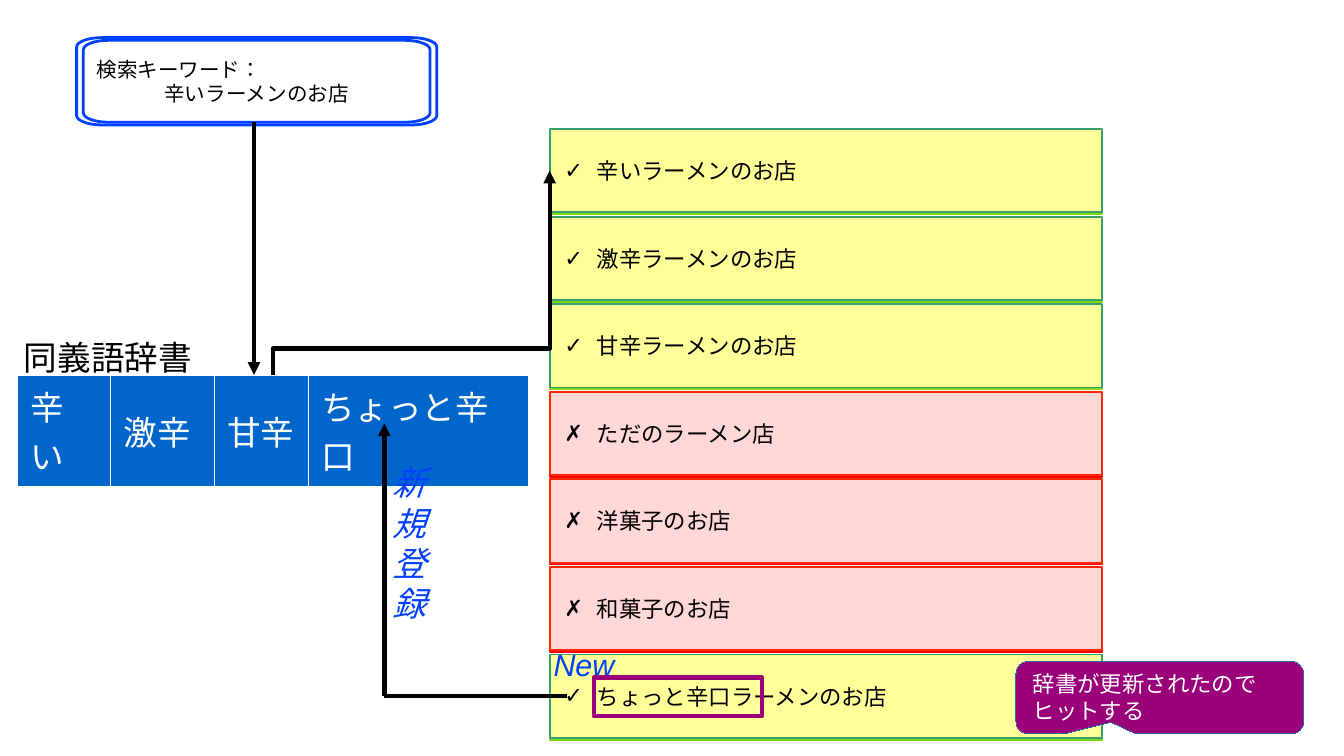
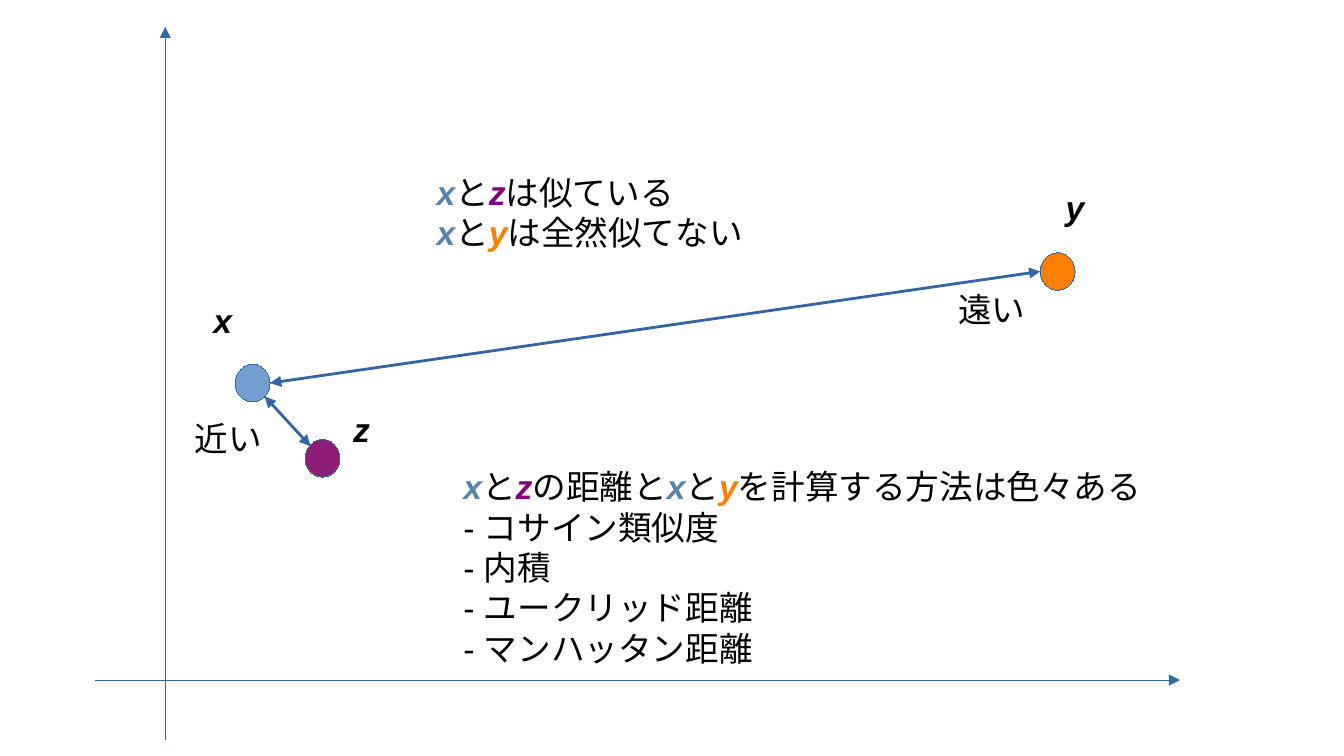
from dataclasses import dataclass
from math import cos, pi, sin

from lxml.etree import SubElement
from pptx import Presentation
from pptx.dml.color import RGBColor
from pptx.enum.lang import MSO_LANGUAGE_ID as Language
from pptx.enum.shapes import MSO_CONNECTOR as Link, MSO_SHAPE as Shape
from pptx.enum.text import MSO_ANCHOR as Anchor, MSO_AUTO_SIZE as AutoSize, PP_ALIGN as Align
from pptx.oxml.ns import qn
from pptx.util import Inches, Pt

# The slide is a grid of 100 columns by 56.25 rows of square cells
WIDTH, HEIGHT = Inches(10), Inches(5.625)
CELL = WIDTH / 100


@dataclass(frozen=True)
class Theme:
    font: str = "Arial"
    # Type sizes
    large: float = 18
    accent: float = 16.3
    small: float = 12
    keyword: float = 11
    # Line widths; a width of exactly 0 would fall back to the theme's line
    hair: float = 0.01
    thin: float = 1
    medium: float = 1.5
    thick: float = 2.3
    # Colours
    black: str = "000000"
    white: str = "FFFFFF"
    blue: str = "0041FF"
    header: str = "0066CC"
    purple: str = "9A0079"
    outline: str = "3465A4"


THEME = Theme()
HIT = {"mark": "✓", "fill": "FFFF99", "line": "35A16B", "shadow": "81D41A"}
MISS = {"mark": "✗", "fill": "FFD7D7", "line": "FF2800", "shadow": "FF0000"}
VECTOR_COLORS = {"x": "5983B0", "y": "FF8000", "z": "800080"}

SHOPS = [
    (HIT, "辛いラーメンのお店"),
    (HIT, "激辛ラーメンのお店"),
    (HIT, "甘辛ラーメンのお店"),
    (MISS, "ただのラーメン店"),
    (MISS, "洋菓子のお店"),
    (MISS, "和菓子のお店"),
    (HIT, "ちょっと辛口ラーメンのお店"),
]
SYNONYMS = {"辛い": 6.9, "激辛": 7.7, "甘辛": 7, "ちょっと辛口": 16.4}


def cells(*lengths):
    return [round(length * CELL) for length in lengths]


def rgb(color):
    return RGBColor.from_string(color)


def style(font, size, color, bold=False, italic=False):
    font.name, font.size = THEME.font, Pt(size)
    font.bold, font.italic = bold, italic
    font.color.rgb = rgb(color)
    font.language_id = Language.JAPANESE


def write(frame, lines, size=THEME.large, color=THEME.black, bold=False, italic=False,
          margins=(1, 0.5)):
    """Fill a text frame; a line is a string or a list of runs with vector names."""
    frame.word_wrap = True
    frame.margin_left = frame.margin_right = cells(margins[0])[0]
    frame.margin_top = frame.margin_bottom = cells(margins[1])[0]
    for number, line in enumerate(lines):
        paragraph = frame.paragraphs[0] if number == 0 else frame.add_paragraph()
        paragraph.alignment = Align.LEFT
        style(paragraph.font, size, color, bold, italic)
        for words in [line] if isinstance(line, str) else line:
            run = paragraph.add_run()
            run.text = words
            if words in VECTOR_COLORS and not isinstance(line, str):
                style(run.font, size, VECTOR_COLORS[words], bold=True, italic=True)
            else:
                style(run.font, size, color, bold, italic)


def label(slide, area, *lines, **look):
    frame = slide.shapes.add_textbox(*cells(*area)).text_frame
    write(frame, lines, **look)
    frame.auto_size = AutoSize.SHAPE_TO_FIT_TEXT


def paint(shape, fill, line, width):
    shape.shadow.inherit = False
    if fill:
        shape.fill.solid()
        shape.fill.fore_color.rgb = rgb(fill)
    else:
        shape.fill.background()
    shape.line.color.rgb = rgb(line)
    shape.line.width = Pt(width)
    return shape


def block(slide, kind, area, fill, line, width):
    return paint(slide.shapes.add_shape(kind, *cells(*area)), fill, line, width)


def rounded_frame(slide, left, top, right, bottom):
    """Outline with flat elliptical corners."""
    radius_x, radius_y, steps = 1.9, 0.7, 8
    corners = [(right - radius_x, bottom - radius_y), (left + radius_x, bottom - radius_y),
               (left + radius_x, top + radius_y), (right - radius_x, top + radius_y)]
    points = []
    for quarter, (x, y) in enumerate(corners):
        for step in range(steps + 1):
            angle = (quarter + step / steps) * pi / 2
            points.append(cells(x + radius_x * cos(angle), y + radius_y * sin(angle)))
    builder = slide.shapes.build_freeform(*points[0])
    builder.add_line_segments(points[1:], close=True)
    return paint(builder.convert_to_shape(), THEME.white, THEME.blue, THEME.medium)


def connect(slide, start, end, color=THEME.black, width=THEME.thick, ends=("tail",),
            kind=Link.STRAIGHT):
    connector = slide.shapes.add_connector(kind, *cells(*start, *end))
    connector.line.color.rgb = rgb(color)
    connector.line.width = Pt(width)
    properties = connector._element.spPr
    for end_name in ends:
        SubElement(properties.find(qn("a:ln")), qn(f"a:{end_name}End"), type="triangle")
    SubElement(properties, qn("a:effectLst"))
    return connector


def rising_elbow(slide, start, end, bend):
    """Elbow that leaves upwards, runs sideways and rises to its end."""
    middle_x, middle_y = (start[0] + end[0]) / 2, (start[1] + end[1]) / 2
    half_rise, half_run = (start[1] - end[1]) / 2, (end[0] - start[0]) / 2
    elbow = connect(slide, (middle_x + half_rise, middle_y + half_run),
                    (middle_x - half_rise, middle_y - half_run), kind=Link.ELBOW)
    properties = elbow._element.spPr
    properties.find(qn("a:xfrm")).set("rot", str(90 * 60000))
    geometry = properties.find(qn("a:prstGeom"))
    guides = geometry.find(qn("a:avLst"))
    if guides is None:
        guides = SubElement(geometry, qn("a:avLst"))
    SubElement(guides, qn("a:gd"), name="adj1", fmla=f"val {round(bend * 100000)}")


def shop_row(slide, top, result, shop):
    row = block(slide, Shape.RECTANGLE, (40.9, top, 41.1, 6.2), result["fill"],
                result["line"], THEME.thin)
    # Hard coloured edge below the row
    effects = row._element.spPr.find(qn("a:effectLst"))
    edge = SubElement(effects, qn("a:outerShdw"), blurRad="0", dist=str(Pt(1)),
                      dir=str(90 * 60000), algn="tl", rotWithShape="0")
    SubElement(edge, qn("a:srgbClr"), val=result["shadow"])
    # Check mark or cross as the bullet
    frame = row.text_frame
    frame.vertical_anchor = Anchor.MIDDLE
    write(frame, [shop], THEME.small, margins=(1.1, 0.6))
    layout = frame.paragraphs[0]._p.get_or_add_pPr()
    indent = cells(2.4)[0]
    layout.set("marL", str(indent))
    layout.set("indent", str(-indent))
    bullet_color = layout.makeelement(qn("a:buClr"))
    SubElement(bullet_color, qn("a:srgbClr"), val=THEME.black)
    layout.insert(0, bullet_color)
    layout.insert(1, layout.makeelement(qn("a:buFont"), typeface=THEME.font))
    layout.insert(2, layout.makeelement(qn("a:buChar"), char=result["mark"]))


def synonym_table(slide, left, top, height):
    table = slide.shapes.add_table(
        1, len(SYNONYMS), *cells(left, top, sum(SYNONYMS.values()), height)).table
    table.first_row = table.horz_banding = False
    for column, (word, width) in enumerate(SYNONYMS.items()):
        table.columns[column].width = cells(width)[0]
        cell = table.cell(0, column)
        write(cell.text_frame, [word], color=THEME.white)
        cell.vertical_anchor = Anchor.MIDDLE
        cell.margin_left = cell.margin_right = cells(1)[0]
        cell.margin_top = cell.margin_bottom = cells(0.5)[0]
        properties = cell._tc.get_or_add_tcPr()
        for side in "LRTB":
            border = SubElement(properties, qn(f"a:ln{side}"), w=str(Pt(0.06)))
            SubElement(SubElement(border, qn("a:solidFill")), qn("a:srgbClr"), val=THEME.white)
        cell.fill.solid()
        cell.fill.fore_color.rgb = rgb(THEME.header)


def synonym_slide(slide):
    # Search keyword
    rounded_frame(slide, 5.7, 2.8, 32.5, 9.3)
    keyword = rounded_frame(slide, 6.2, 3, 32, 9.1).text_frame
    keyword.vertical_anchor = Anchor.MIDDLE
    write(keyword, ["検索キーワード：", "辛いラーメンのお店"], THEME.keyword)
    keyword.paragraphs[1].alignment = Align.CENTER

    # Search results
    first, last = 9.6, 48.7
    pitch = (last - first) / (len(SHOPS) - 1)
    for number, (result, shop) in enumerate(SHOPS):
        shop_row(slide, first + number * pitch, result, shop)

    # Synonym dictionary
    synonym_table(slide, 1.3, 27.9, 6)
    label(slide, (0.8, 24.6, 15, 4.3), "同義語辞書")

    # New entry, from the last result to the dictionary
    label(slide, (40.2, 47.6, 7.1, 3.5), "New", size=THEME.accent, color=THEME.blue, italic=True)
    block(slide, Shape.RECTANGLE, (44.2, 50.4, 12.5, 2.9), None, THEME.purple, THEME.thick)
    turn = (28.6, 51.8)
    connect(slide, (42.2, 51.8), turn, ends=())
    connect(slide, turn, (28.6, 31.5))
    label(slide, (28.2, 33.9, 6.3, 14.1), "新規登録", color=THEME.blue, italic=True)

    # From the keyword through the dictionary to the results
    connect(slide, (18.9, 9.1), (18.9, 27.9))
    rising_elbow(slide, (20.3, 27.9), (40.9, 12.7), bend=0.13)

    # Callout
    callout = block(slide, Shape.ROUNDED_RECTANGULAR_CALLOUT, (75.6, 49.2, 21.4, 5.4),
                    THEME.purple, THEME.outline, THEME.hair)
    for number, share in enumerate((-0.17, 0.34, 0.17)):
        callout.adjustments[number] = share
    callout.text_frame.vertical_anchor = Anchor.MIDDLE
    write(callout.text_frame, ["辞書が更新されたのでヒットする"], THEME.small, THEME.white)


def distance_slide(slide):
    # Axes
    connect(slide, (12.3, 55.1), (12.3, 2), THEME.outline, THEME.hair)
    connect(slide, (7.1, 50.6), (87.8, 50.6), THEME.outline, THEME.hair)

    # Vectors: dot centre, dot colour and place of the name
    vectors = {
        "x": ((18.8, 28.5), "729FCF", (14.9, 21.8)),
        "z": ((24, 34.1), "8D1D75", (25.3, 29.9)),
        "y": ((78.7, 20.2), "FF8000", (78.3, 13.4)),
    }
    for name, ((x, y), color, place) in vectors.items():
        block(slide, Shape.OVAL, (x - 1.3, y - 1.4, 2.6, 2.8), color, THEME.outline, THEME.hair)
        label(slide, (*place, 4.4, 5.4), name, bold=True, italic=True)

    # Distances
    for start, end, distance, place in [
        ((20.1, 28.5), (77.4, 20.2), "遠い", (70.3, 21)),
        ((19.7, 29.5), (23.1, 33.2), "近い", (13.5, 30.6)),
    ]:
        connect(slide, start, end, THEME.outline, THEME.medium, ends=("head", "tail"))
        label(slide, (*place, 9.2, 5), distance)

    # Explanations
    label(slide, (31.5, 12.3, 32.7, 9.4),
          ["x", "と", "z", "は似ている"], ["x", "と", "y", "は全然似てない"])
    label(slide, (33.5, 34.2, 52.4, 19.1),
          ["x", "と", "z", "の距離と", "x", "と", "y", "を計算する方法は色々ある"],
          "- コサイン類似度", "- 内積", "- ユークリッド距離", "- マンハッタン距離")


def main():
    deck = Presentation()
    deck.slide_width, deck.slide_height = WIDTH, HEIGHT
    blank = deck.slide_layouts[6]
    for build in (synonym_slide, distance_slide):
        build(deck.slides.add_slide(blank))
    deck.save("out.pptx")


if __name__ == "__main__":
    main()
